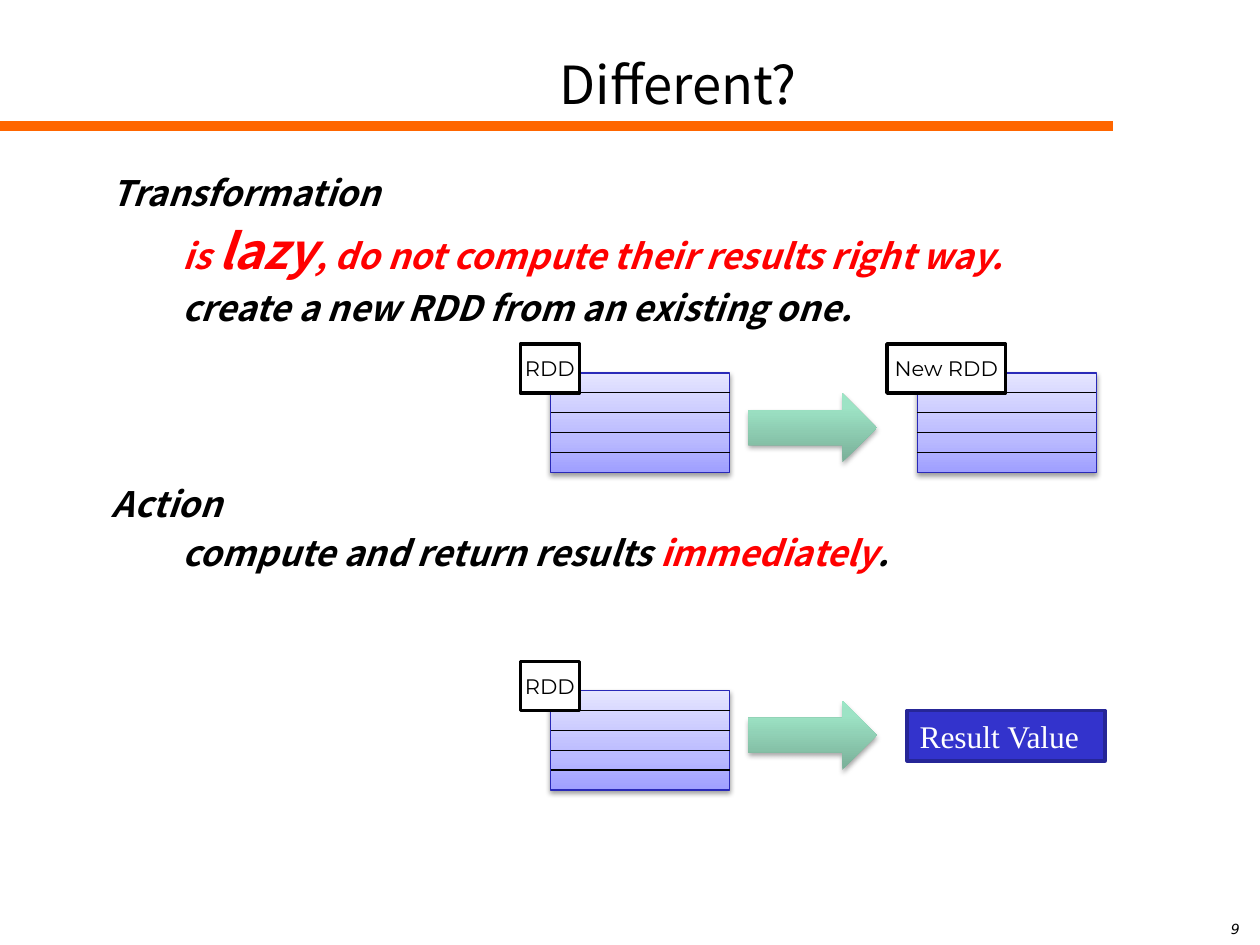
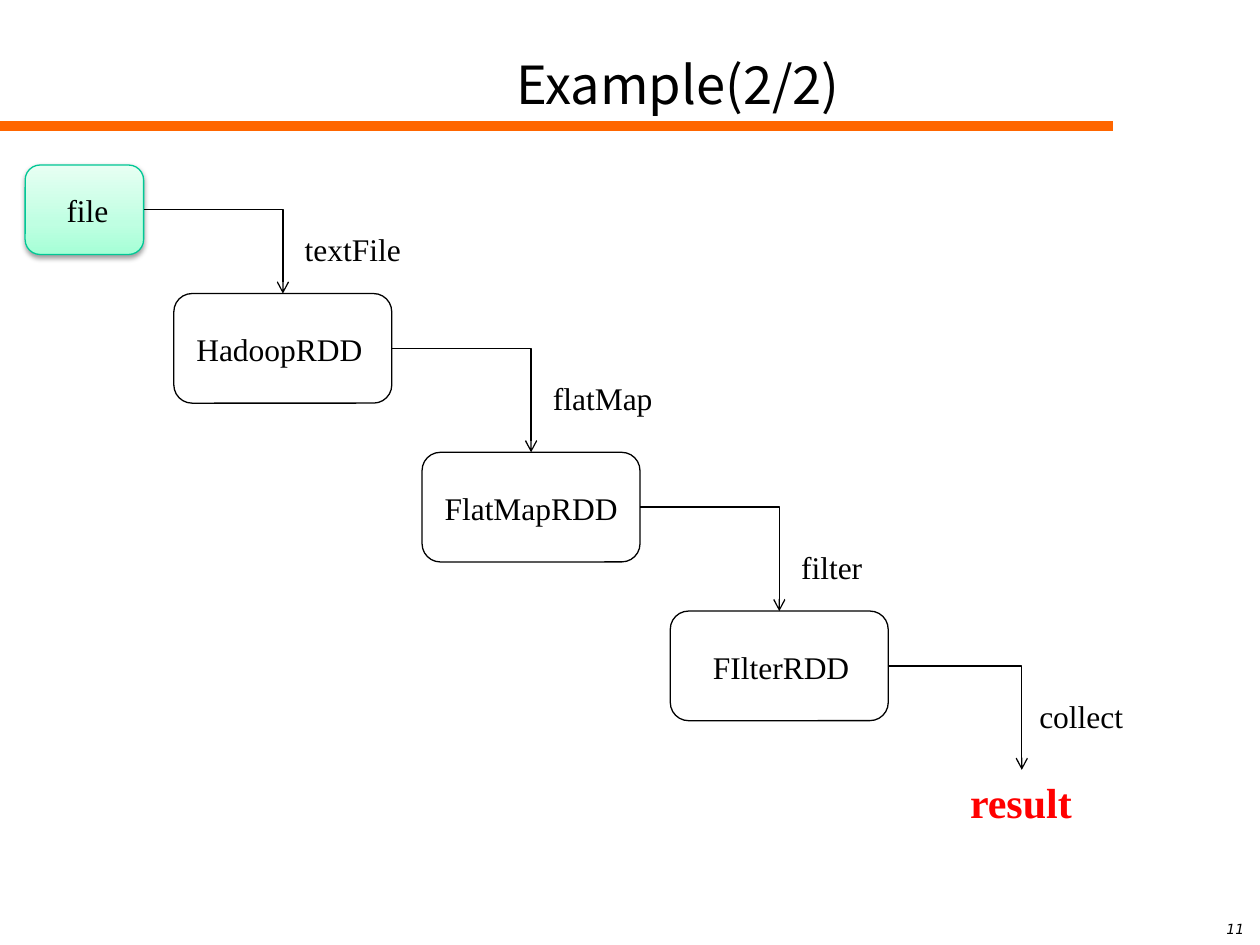
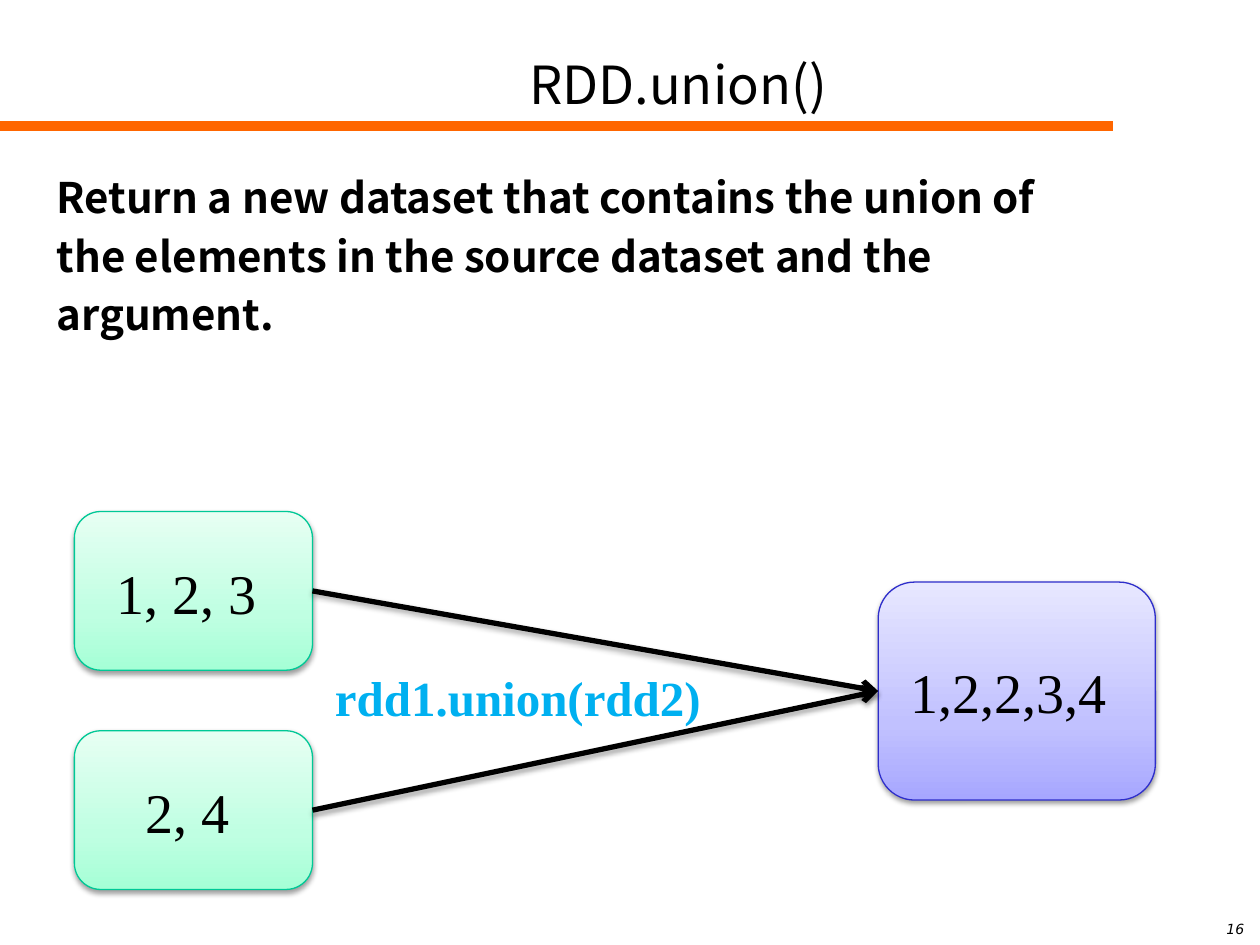
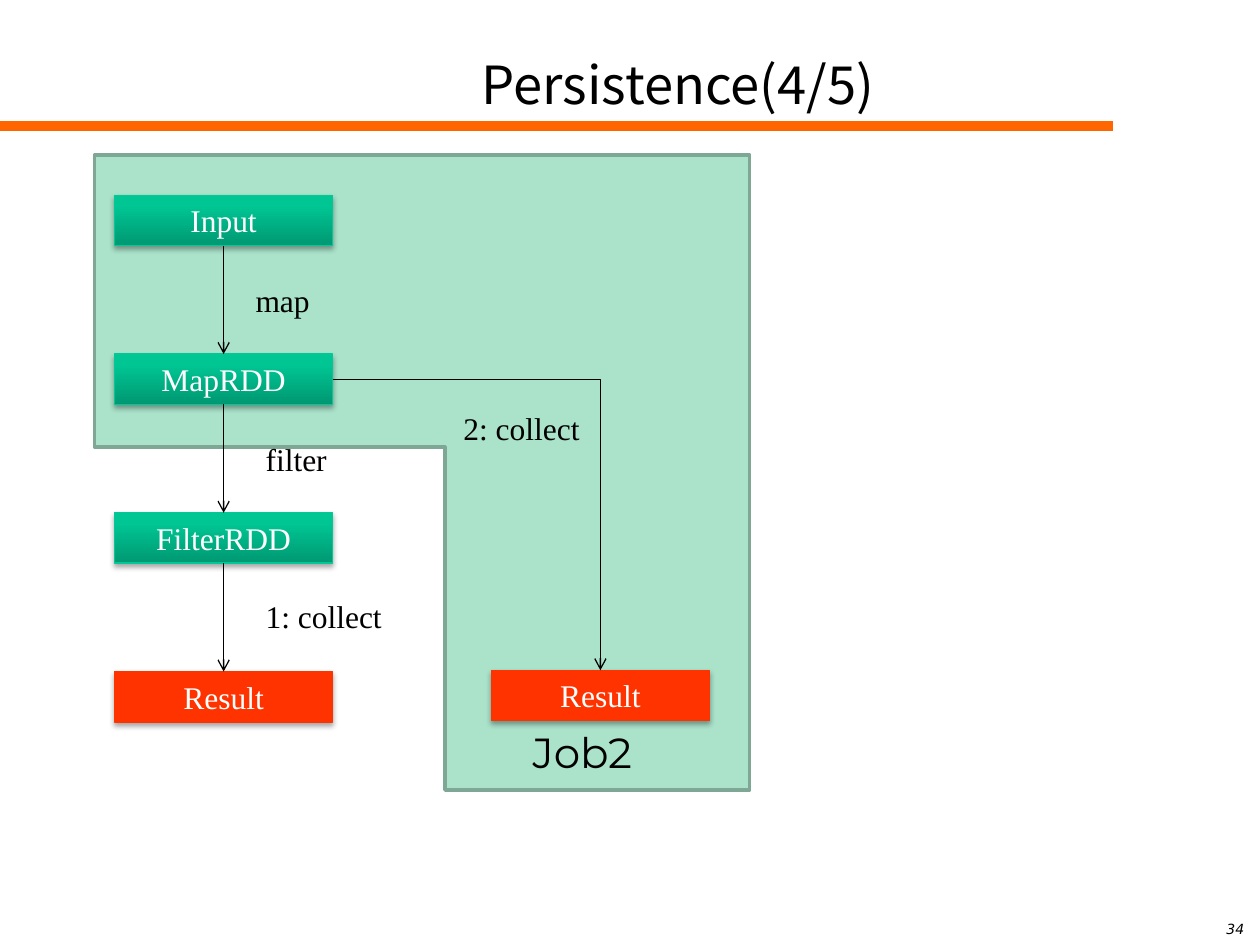
from copy import deepcopy
from lxml import etree
from pptx import Presentation
from pptx.dml.color import RGBColor
from pptx.enum import shapes, text
from pptx.oxml.ns import qn
from pptx import util as u

BLACK = RGBColor(0x00, 0x00, 0x00)
WHITE = RGBColor(0xFF, 0xFF, 0xFF)
RED = RGBColor(0xFF, 0x00, 0x00)
ORANGE = RGBColor(0xFF, 0x66, 0x00)
SKY = RGBColor(0x00, 0xB0, 0xF0)
BLUE = RGBColor(0x33, 0x33, 0xCC)
BLUE_EDGE = RGBColor(0x26, 0x26, 0x97)
STACK_EDGE = RGBColor(0x29, 0x29, 0xB8)
LILAC_EDGE = RGBColor(0x2E, 0x2E, 0xCB)
GREEN = RGBColor(0x00, 0xC8, 0x96)
SAGE = RGBColor(0xAA, 0xE2, 0xCA)
SAGE_EDGE = RGBColor(0x7E, 0xA7, 0x95)
SCARLET = RGBColor(0xFF, 0x33, 0x00)


def gradient(*stops):
    return [(position, RGBColor.from_string(color)) for position, color in stops]


STACK_FILL = gradient((0, "9F9FFF"), (0.35, "BBBBFF"), (1, "E5E5FF"))
LILAC_FILL = gradient((0, "A7A7FF"), (0.35, "C1C1FF"), (1, "E7E7FF"))
MINT_FILL = gradient((0, "A5FFD6"), (0.35, "BFFFE2"), (1, "E7FFF3"))
ARROW_FILL = gradient((0, "79AF98"), (0.8, "9DE3C5"), (1, "9CE6C6"))
GREEN_FILL = gradient((0, "009872"), (0.8, "00C694"), (1, "00C795"))

SOFT_SHADOW = (38, 1.6)
STRONG_SHADOW = (35, 1.8)

SERIF = {"name": "Times New Roman", "size": u.Pt(18)}
SANS = {"name": "Noto Sans CJK SC", "size": u.Pt(30)}
LABEL = {"name": "Montserrat", "size": u.Pt(12)}
NUMBER = {"name": "DejaVu Sans", "size": u.Pt(8), "italic": True}
STATEMENT = SANS | {"size": u.Pt(20), "bold": True, "italic": True}
DEFINITION = SANS | {"size": u.Pt(24), "bold": True}
BIG_SERIF = SERIF | {"size": u.Pt(32)}
MINT_BOX = {"fill": MINT_FILL, "edge": GREEN, "shadow": SOFT_SHADOW}
BODY_AT = (0.35, 1.31, 9.48, 5.11)

STATEMENTS = [
    (0.44, 4, [("Transformation", {})]),
    (1, 4, [("is ", {"color": RED}), ("lazy", {"color": RED, "size": u.Pt(28)}),
            (", do not compute their results right way.", {"color": RED})]),
    (1, 4, [("create a new RDD from an existing one.", {})]),
    (0.44, 88, [("Action", {})]),
    (1, 4, [("compute and return results ", {}), ("immediately", {"color": RED}), (".", {})]),
]
STACKS = [(4.37, 2.96, "RDD", 0.47), (7.28, 2.96, "New RDD", 0.94), (4.37, 5.48, "RDD", 0.47)]
STACK_ROWS = 5
ARROW_TOPS = [3.12, 5.56]

RDD_STEPS = [("HadoopRDD", 0.08, 1.53), ("FlatMapRDD", 0.08, 1.65), ("FIlterRDD", 0.24, 1.3)]
OPERATIONS = [("textFile", 2.32, 1.78), ("flatMap", 4.29, 2.96),
              ("filter", 6.26, 4.3), ("collect", 8.15, 5.48)]

DEFINITION_LINES = ["Return a new dataset that contains the union of",
                    "the elements in the source dataset and the", "argument."]
SOURCES = [("1, 2, 3", 4.06, 0.24), ("2, 4", 5.8, 0.47)]

JOB_STEPS = ["Input", "MapRDD", "FilterRDD", "Result"]
JOB_LABELS = [("map", 1.93, 2.18), ("filter", 2.01, 3.44),
              ("1: collect", 2.01, 4.69), ("2: collect", 3.58, 3.2)]


def inches(values):
    return [u.Inches(value) for value in values]


def write_runs(paragraph, runs, font):
    for content, changes in runs:
        run = paragraph.add_run()
        run.text = content
        formats = {"color": BLACK} | font | changes
        run.font.color.rgb = formats.pop("color")
        for name, value in formats.items():
            setattr(run.font, name, value)


def set_text(shape, lines, font, align=text.PP_ALIGN.LEFT, anchor=text.MSO_ANCHOR.TOP,
             wrap=True):
    frame = shape.text_frame
    frame.word_wrap = wrap
    frame.vertical_anchor = anchor
    for index, (indent, before, runs) in enumerate(lines):
        paragraph = frame.add_paragraph() if index else frame.paragraphs[0]
        paragraph.alignment = align
        if before:
            paragraph.space_before = u.Pt(before)
        if indent:
            properties = paragraph._p.get_or_add_pPr()
            properties.set("marL", str(u.Inches(indent)))
            properties.set("indent", "0")
        write_runs(paragraph, runs, font)


def one_line(content):
    return [(0, 0, [(content, {})])]


def add_text(slide, at, content, font, **layout):
    box = slide.shapes.add_textbox(*inches(at))
    set_text(box, one_line(content), font, **layout)
    return box


def set_shadow(shape, shadow):
    effects = shape._element.spPr.get_or_add_effectLst()
    if shadow:
        alpha, distance = shadow
        outer = etree.SubElement(effects, qn("a:outerShdw"), blurRad=str(u.Pt(3.1)),
                                 dist=str(u.Pt(distance)), dir="5400000", rotWithShape="0")
        color = etree.SubElement(outer, qn("a:srgbClr"), val=str(BLACK))
        etree.SubElement(color, qn("a:alpha"), val=str(alpha * 1000))


def set_fill(shape, fill):
    if fill is None:
        shape.fill.background()
    elif isinstance(fill, RGBColor):
        shape.fill.solid()
        shape.fill.fore_color.rgb = fill
    else:
        shape.fill.gradient()
        shape.fill.gradient_angle = 90
        stop_list = shape._element.spPr.find(".//" + qn("a:gsLst"))
        stop_list.append(deepcopy(stop_list[0]))
        for stop, (position, color) in zip(shape.fill.gradient_stops, fill):
            stop.position = position
            stop.color.rgb = color


def add_box(slide, kind, at, fill=None, edge=None, width=0.75, shadow=None):
    shape = slide.shapes.add_shape(kind, *inches(at))
    set_fill(shape, fill)
    if edge is None:
        shape.line.fill.background()
    else:
        shape.line.color.rgb = edge
        shape.line.width = u.Pt(width)
    set_shadow(shape, shadow)
    return shape


def add_line(slide, ends, color=BLACK, width=0.75, shadow=None):
    line = slide.shapes.add_connector(shapes.MSO_CONNECTOR.STRAIGHT, *inches(ends))
    line.line.color.rgb = color
    line.line.width = u.Pt(width)
    set_shadow(line, shadow)
    return line


def join(slide, start, start_side, end, end_side, bent=False, **style):
    arrow = add_line(slide, (0, 0, 1, 1), **style)
    arrow.begin_connect(start, start_side)
    arrow.end_connect(end, end_side)
    properties = arrow._element.spPr
    if bent:
        properties.find(qn("a:prstGeom")).set("prst", "bentConnector2")
    etree.SubElement(properties.find(qn("a:ln")), qn("a:tailEnd"), type="arrow")


def start_slide(presentation, title, number):
    slide = presentation.slides.add_slide(presentation.slide_layouts[6])
    centred = {"align": text.PP_ALIGN.CENTER, "anchor": text.MSO_ANCHOR.MIDDLE}
    add_line(slide, (0, 1, 8.83, 1), ORANGE, 6)
    add_text(slide, (9.57, 7.21, 0.47, 0.32), number, NUMBER, **centred)
    add_text(slide, (1.92, 0.33, 6.92, 0.67), title, SANS, **centred)
    return slide


def add_stack(slide, left, top, label, label_width):
    width, height = 1.42, 0.79
    add_box(slide, shapes.MSO_SHAPE.RECTANGLE, (left, top, width, height),
            STACK_FILL, STACK_EDGE, shadow=SOFT_SHADOW)
    for row in range(1, STACK_ROWS):
        y = top + row * height / STACK_ROWS
        add_line(slide, (left, y, left + width, y))
    tag = add_box(slide, shapes.MSO_SHAPE.RECTANGLE,
                  (left - 0.24, top - 0.23, label_width, 0.39), WHITE, BLACK, 2)
    set_text(tag, one_line(label), LABEL, text.PP_ALIGN.CENTER, text.MSO_ANCHOR.MIDDLE, False)


def build_difference(presentation):
    slide = start_slide(presentation, "Different?", "9")
    set_text(slide.shapes.add_textbox(*inches(BODY_AT)), STATEMENTS, STATEMENT)
    for stack in STACKS:
        add_stack(slide, *stack)
    for top in ARROW_TOPS:
        add_box(slide, shapes.MSO_SHAPE.RIGHT_ARROW, (5.94, top, 1.02, 0.55),
                ARROW_FILL, shadow=STRONG_SHADOW)
    result = add_box(slide, shapes.MSO_SHAPE.RECTANGLE, (7.2, 5.64, 1.57, 0.4),
                     BLUE, BLUE_EDGE, 2)
    set_text(result, one_line("Result Value"), SERIF | {"color": WHITE})


def build_example(presentation):
    slide = start_slide(presentation, "Example(2/2)", "11")
    rounded = shapes.MSO_SHAPE.ROUNDED_RECTANGLE
    chain = [add_box(slide, rounded, (0.2, 1.31, 0.94, 0.71), **MINT_BOX)]
    add_text(slide, (0.43, 1.47, 0.63, 0.4), "file", SERIF)
    for index, (name, inset, width) in enumerate(RDD_STEPS):
        left, top = 1.38 + 1.97 * index, 2.33 + 1.26 * index
        chain.append(add_box(slide, rounded, (left, top, 1.73, 0.87), edge=BLACK))
        add_text(slide, (left + inset, top + 0.24, width, 0.4), name, SERIF, wrap=False)
    chain.append(add_text(slide, (7.6, 6.11, 1.02, 0.5), "result",
                          SERIF | {"size": u.Pt(24), "bold": True, "color": RED}))
    for start, end in zip(chain, chain[1:]):
        join(slide, start, 3, end, 0, bent=True)
    for name, left, top in OPERATIONS:
        add_text(slide, (left, top, 1, 0.4), name, SERIF, wrap=False)


def build_union(presentation):
    slide = start_slide(presentation, "RDD.union()", "16")
    rounded = shapes.MSO_SHAPE.ROUNDED_RECTANGLE
    lines = [(0, 4.8, [(line, {})]) for line in DEFINITION_LINES]
    set_text(slide.shapes.add_textbox(*inches(BODY_AT)), lines, DEFINITION)
    union = add_box(slide, rounded, (6.97, 4.62, 2.2, 1.73), LILAC_FILL, LILAC_EDGE,
                    shadow=SOFT_SHADOW)
    add_text(slide, (7.13, 5.17, 2.13, 0.64), "1,2,2,3,4", BIG_SERIF)
    for values, top, inset in SOURCES:
        source = add_box(slide, rounded, (0.59, top, 1.89, 1.26), **MINT_BOX)
        add_text(slide, (0.59 + inset, top + 0.32, 1.42, 0.64), values, BIG_SERIF)
        join(slide, source, 3, union, 1, width=3, shadow=STRONG_SHADOW)
    add_text(slide, (2.56, 5.25, 3.31, 0.57), "rdd1.union(rdd2)",
             SERIF | {"size": u.Pt(28), "bold": True, "color": SKY})


def add_step(slide, name, left, top):
    fill, edge = (SCARLET, SCARLET) if name == "Result" else (GREEN_FILL, GREEN)
    step = add_box(slide, shapes.MSO_SHAPE.RECTANGLE, (left, top, 1.73, 0.4),
                   fill, edge, shadow=STRONG_SHADOW)
    set_text(step, one_line(name), SERIF | {"color": WHITE}, text.PP_ALIGN.CENTER)
    return step


def build_persistence(presentation):
    slide = start_slide(presentation, "Persistence(4/5)", "34")
    job = add_box(slide, shapes.MSO_SHAPE.CORNER, (0.75, 1.23, 5.2, 5.04), SAGE, SAGE_EDGE, 2)
    job.rotation = 180
    job.adjustments[0], job.adjustments[1] = 0.46, 0.48
    steps = [add_step(slide, name, 0.91, 1.55 + 1.26 * index)
             for index, name in enumerate(JOB_STEPS)]
    second_result = add_step(slide, "Result", 3.9, 5.32)
    for start, end in zip(steps, steps[1:]):
        join(slide, start, 2, end, 0)
    join(slide, steps[1], 3, second_result, 0, bent=True)
    for name, left, top in JOB_LABELS:
        add_text(slide, (left, top, 1.13, 0.4), name, SERIF, wrap=False)
    add_text(slide, (4.13, 5.72, 1.34, 0.5), "Job2", LABEL | {"size": u.Pt(24)})


def main():
    presentation = Presentation()
    presentation.slide_width, presentation.slide_height = inches((10, 7.5))
    for build in (build_difference, build_example, build_union, build_persistence):
        build(presentation)
    presentation.save("out.pptx")


if __name__ == "__main__":
    main()
